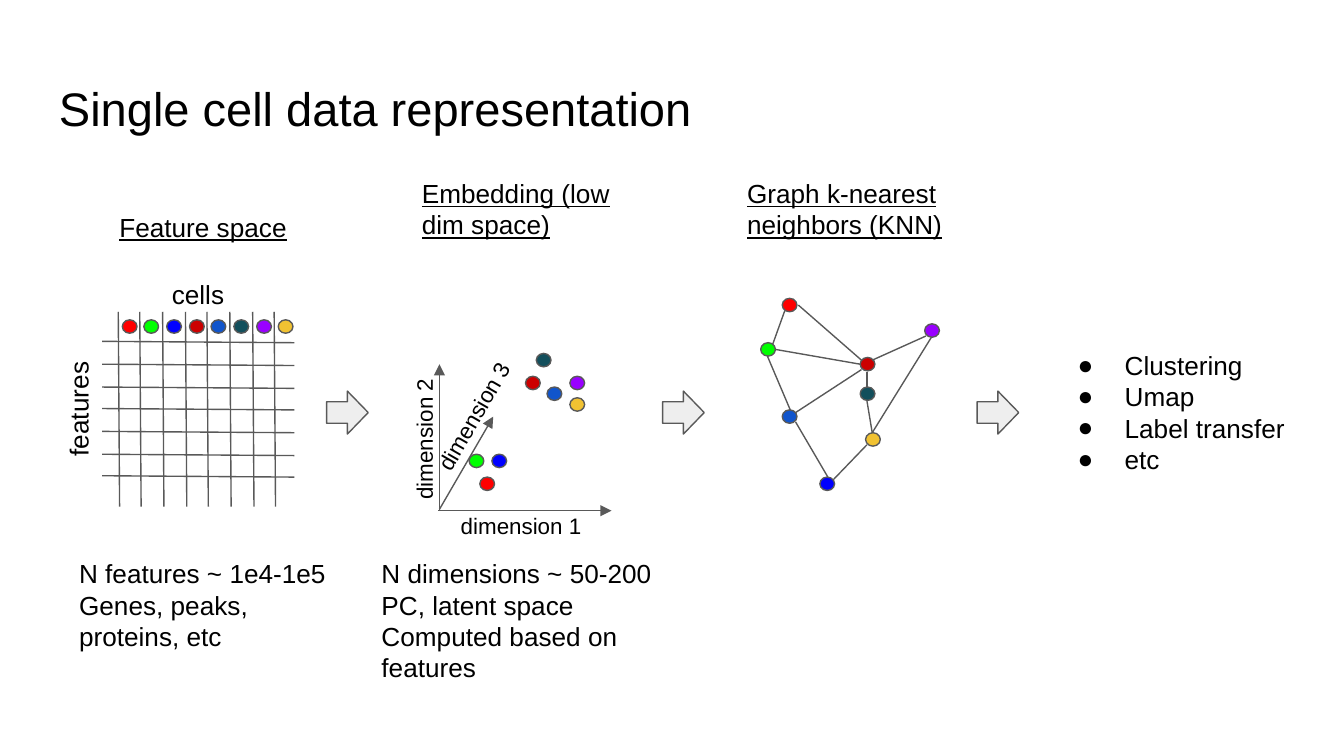
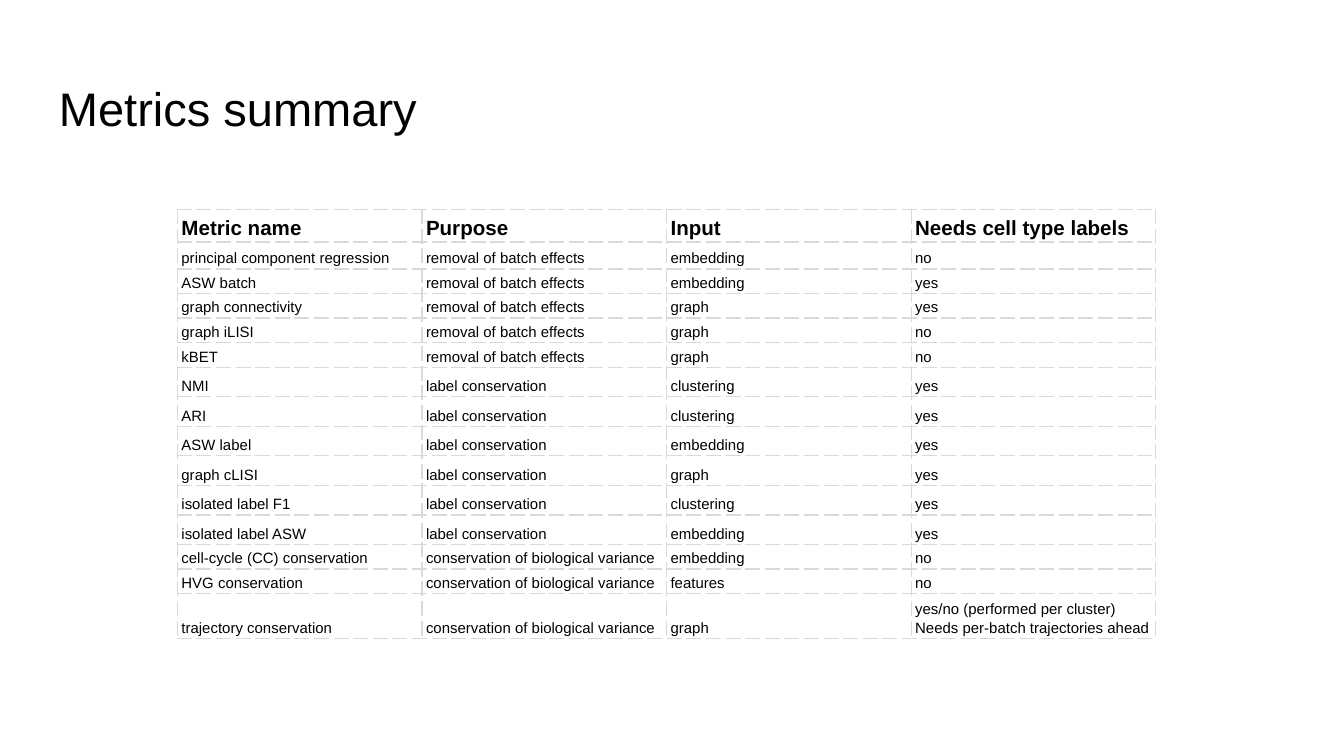
from lxml import etree
from pptx import Presentation
from pptx import util as u
from pptx.dml.color import RGBColor
from pptx.enum import shapes, text
from pptx.oxml.ns import qn

PX = 9144  # 100 px to the inch
FONT = "Arial"
BLACK, GRAY, PALE, BORDER = "000000", "595959", "EEEEEE", "D9D9D9"
CELL_COLORS = ["FF0000", "00FF00", "0000FF", "CC0000",
               "1155CC", "134F5C", "9900FF", "F1C232"]


def rgb(color):
    return RGBColor.from_string(color)


def write(frame, words, size=14, bold=False, underline=False, spacing=None, bullet=None):
    """Fill a text frame, one paragraph for each line of words."""
    for number, line in enumerate(words.split("\n")):
        para = frame.add_paragraph() if number else frame.paragraphs[0]
        if spacing:
            para.line_spacing = spacing
        if bullet:
            props = para._p.get_or_add_pPr()
            props.set("marL", str(50 * PX))
            props.set("indent", str(-35 * PX))
            tint = etree.SubElement(props, qn("a:buClr"))
            etree.SubElement(tint, qn("a:srgbClr"), val=BLACK)
            etree.SubElement(props, qn("a:buSzPts"), val=str(size * 100))
            etree.SubElement(props, qn("a:buFont"), typeface=FONT)
            etree.SubElement(props, qn("a:buChar"), char=bullet)
        span = para.add_run()
        span.text = line
        span.font.name = FONT
        span.font.size = u.Pt(size)
        span.font.bold = bold
        span.font.underline = underline
        span.font.color.rgb = rgb(BLACK)


deck = Presentation()
deck.slide_width = 1000 * PX
deck.slide_height = deck.slide_width * 9 // 16

pages = []
for title in ["Single cell data representation", "Metrics summary"]:
    page = deck.slides.add_slide(deck.slide_layouts[6])
    box = page.shapes.add_textbox(34 * PX, 49 * PX, 932 * PX, 63 * PX)
    frame = box.text_frame
    frame.word_wrap = True
    frame.vertical_anchor = text.MSO_ANCHOR.MIDDLE
    frame.margin_left = frame.margin_right = 10 * PX
    frame.margin_top = frame.margin_bottom = 10 * PX
    write(frame, title, size=25.2)
    pages.append(page)
workflow, summary = pages

# Workflow: cells as dots in the matrix, the embedding and the graph
columns = [round((263 + 50 * i) / 3) for i in range(8)]
rows = [round((763 + 50 * i) / 3) for i in range(7)]
matrix_dots = [(column + 3, 238) for column in columns]
embedding_dots = [(357, 355), (349, 338), (366, 338), (391, 280),
                  (407, 288), (399, 263), (424, 280), (424, 296)]
graph_dots = [(582, 222), (566, 255), (610, 355), (640, 266),
              (582, 305), (640, 288), (688, 241), (644, 322)]

figures = [(shapes.MSO_SHAPE.OVAL, left, top, 11, 10, color)
           for dots in (matrix_dots, embedding_dots, graph_dots)
           for (left, top), color in zip(dots, CELL_COLORS)]
figures += [(shapes.MSO_SHAPE.RIGHT_ARROW, left, 291, 31, 32, PALE)
            for left in (243, 493, 727)]
for kind, left, top, width, height, color in figures:
    figure = workflow.shapes.add_shape(kind, left * PX, top * PX, width * PX, height * PX)
    figure.shadow.inherit = False
    figure.fill.solid()
    figure.fill.fore_color.rgb = rgb(color)
    figure.line.color.rgb = rgb(GRAY)
    figure.line.width = u.Pt(0.75)

grid = [(76, row, 219, row + 1) for row in rows]
grid += [(column, 232, column + 1, 377) for column in columns]
edges = [
    (592, 307, 641, 275), (645, 277, 645, 288), (620, 357, 645, 331),
    (616, 355, 592, 314), (584, 231, 575, 256), (594, 227, 641, 268),
    (649, 268, 689, 250), (645, 298, 649, 322), (571, 265, 588, 305),
    (577, 260, 640, 271), (693, 251, 649, 322),
]
axes = [(326, 380, 455, 380), (327, 380, 327, 271), (327, 379, 367, 310)]
for ends in grid + edges + axes:
    line = workflow.shapes.add_connector(
        shapes.MSO_CONNECTOR.STRAIGHT, *[end * PX for end in ends])
    line.line.color.rgb = rgb(GRAY)
    line.line.width = u.Pt(0.75)
    props = line._element.spPr
    if ends in axes:
        etree.SubElement(props.find(qn("a:ln")), qn("a:tailEnd"), type="triangle")
    etree.SubElement(props, qn("a:effectLst"))

heading, axis = {"underline": True}, {"size": 12}
labels = [
    ("Feature space", 79, 147, 147, 44, 0, heading),
    ("Embedding (low dim space)", 304, 122, 182, 67, 0, heading),
    ("Graph k-nearest neighbors (KNN)", 546, 122, 231, 67, 0, heading),
    ("features", 8, 277, 101, 44, 270, {}),
    ("cells", 118, 197, 74, 44, 0, {}),
    ("N features ~ 1e4-1e5\nGenes, peaks, proteins, etc", 49, 405, 216, 91, 0, {}),
    ("N dimensions ~ 50-200\nPC, latent space\nComputed based on features",
     274, 405, 244, 114, 0, {}),
    ("dimension 1", 333, 371, 127, 40, 0, axis),
    ("dimension 2", 252, 298, 127, 40, 270, axis),
    ("dimension 3", 293, 282, 127, 40, 300, axis),
    ("Clustering\nUmap\nLabel transfer\netc", 777, 250, 216, 114, 0, {"bullet": "●"}),
]
for words, left, top, width, height, rotation, style in labels:
    box = workflow.shapes.add_textbox(left * PX, top * PX, width * PX, height * PX)
    box.rotation = rotation
    frame = box.text_frame
    frame.word_wrap = True
    frame.auto_size = text.MSO_AUTO_SIZE.SHAPE_TO_FIT_TEXT
    frame.margin_left = frame.margin_right = 10 * PX
    frame.margin_top = frame.margin_bottom = 10 * PX
    write(frame, words, **style)

# Summary: table of metrics, with the least height of each row
BATCH, LABEL = "removal of batch effects", "label conservation"
BIOLOGY = "conservation of biological variance"
metrics = [
    (22, "Metric name", "Purpose", "Input", "Needs cell type labels"),
    (20, "principal component regression", BATCH, "embedding", "no"),
    (17, "ASW batch", BATCH, "embedding", "yes"),
    (14, "graph connectivity", BATCH, "graph", "yes"),
    (14, "graph iLISI", BATCH, "graph", "no"),
    (11, "kBET", BATCH, "graph", "no"),
    (22, "NMI", LABEL, "clustering", "yes"),
    (22, "ARI", LABEL, "clustering", "yes"),
    (22, "ASW label", LABEL, "embedding", "yes"),
    (22, "graph cLISI", LABEL, "graph", "yes"),
    (22, "isolated label F1", LABEL, "clustering", "yes"),
    (22, "isolated label ASW", LABEL, "embedding", "yes"),
    (11, "cell-cycle (CC) conservation", BIOLOGY, "embedding", "no"),
    (11, "HVG conservation", BIOLOGY, "features", "no"),
    (32, "trajectory conservation", BIOLOGY, "graph",
     "yes/no (performed per cluster)\nNeeds per-batch trajectories ahead"),
]
total = sum(metric[0] for metric in metrics)
table = summary.shapes.add_table(
    len(metrics), 4, 132 * PX, 156 * PX, 728 * PX, total * PX).table
table.first_row = table.horz_banding = False
for column in table.columns:
    column.width = 182 * PX
for r, (height, *values) in enumerate(metrics):
    table.rows[r].height = height * PX
    for c, words in enumerate(values):
        cell = table.cell(r, c)
        cell.vertical_anchor = text.MSO_ANCHOR.BOTTOM
        cell.margin_left = cell.margin_right = 3 * PX
        cell.margin_top = cell.margin_bottom = u.Pt(1.1)
        for side in ("lnL", "lnR", "lnT", "lnB"):
            border = etree.SubElement(
                cell._tc.get_or_add_tcPr(), qn("a:" + side), w=str(u.Pt(0.75)))
            fill = etree.SubElement(border, qn("a:solidFill"))
            etree.SubElement(fill, qn("a:srgbClr"), val=BORDER)
            etree.SubElement(border, qn("a:prstDash"), val="dash")
        cell.fill.background()
        write(cell.text_frame, words, size=8 if r else 11, bold=r == 0, spacing=1.15)

deck.save("out.pptx")
